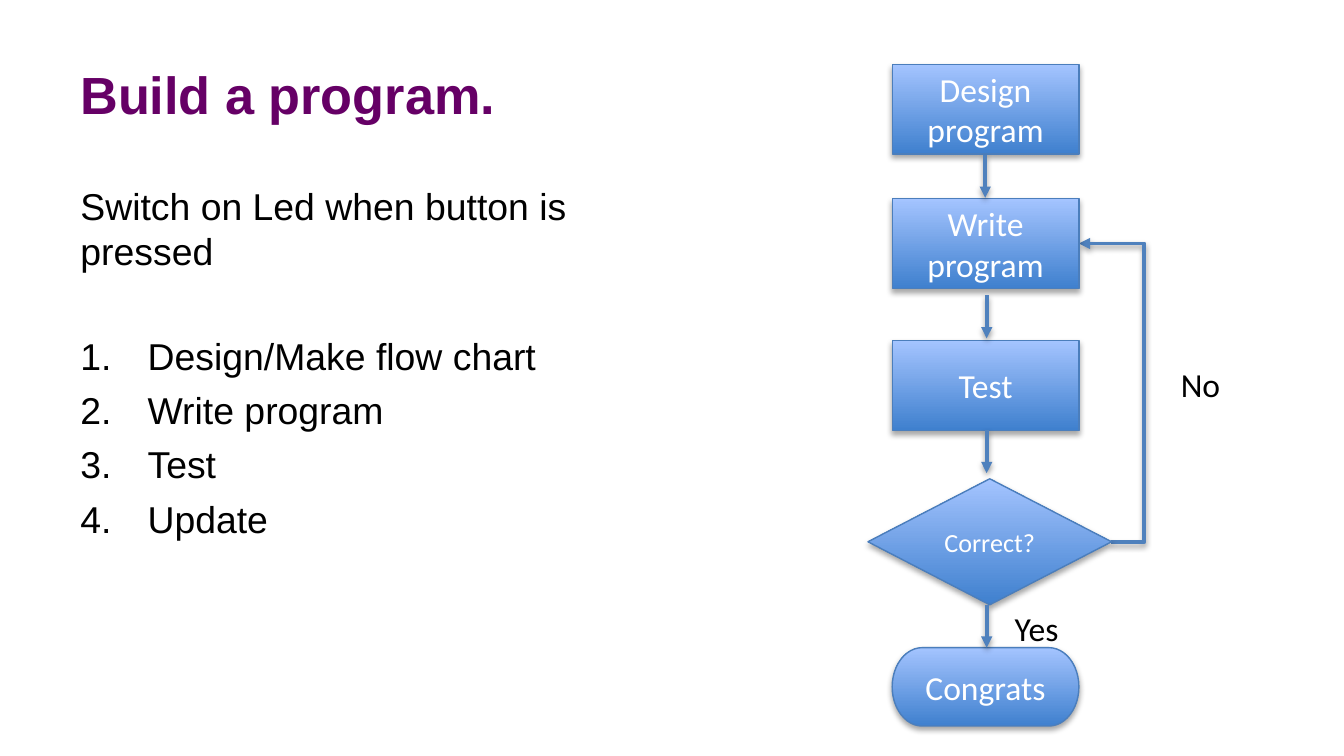
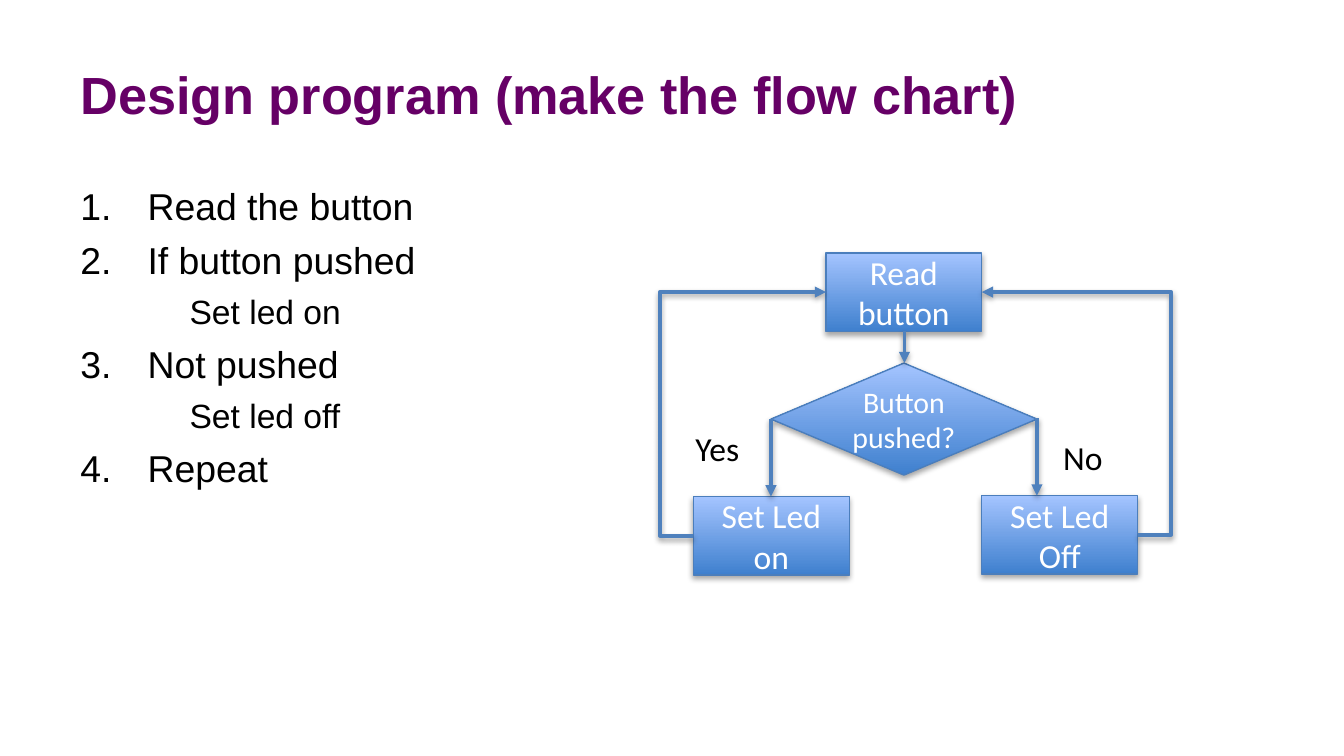
from lxml import etree
from pptx import Presentation
from pptx import util as u
from pptx.dml.color import RGBColor
from pptx.enum import shapes, text
from pptx.oxml import ns

PURPLE = RGBColor(0x66, 0x00, 0x66)
BLACK = RGBColor(0x00, 0x00, 0x00)
WHITE = RGBColor(0xFF, 0xFF, 0xFF)
DEEP_BLUE = RGBColor(0x3F, 0x80, 0xCE)
PALE_BLUE = RGBColor(0xA4, 0xC4, 0xFF)
EDGE_BLUE = RGBColor(0x4B, 0x7E, 0xBC)
ARROW_BLUE = RGBColor(0x4F, 0x81, 0xBD)

TITLE_BOX = (36, 16.5, 648, 67.5)
LIST_BOX = (36, 94.5, 318, 228)
BUILD_ORIGIN = (465, 34.5)
BUTTON_ORIGIN = (353.5, 135.5)
ITEM_GAP = 5
BLOCK_GAP = 32.5

PROCESS = shapes.MSO_SHAPE.FLOWCHART_PROCESS
DECISION = shapes.MSO_SHAPE.FLOWCHART_DECISION
TERMINATOR = shapes.MSO_SHAPE.FLOWCHART_TERMINATOR


def points(*values):
    return [u.Pt(value) for value in values]


def place(origin, x, y, *size):
    return points(origin[0] + x, origin[1] + y, *size)


def child(parent, tag, **attributes):
    element = etree.SubElement(parent, ns.qn(tag))
    for name, value in attributes.items():
        element.set(name, str(value))
    return element


def add_shadow(shape, opacity, distance):
    effects = child(shape._element.spPr, "a:effectLst")
    shadow = child(effects, "a:outerShdw", blurRad=u.Pt(3.1), dist=u.Pt(distance),
                   dir=5400000, rotWithShape=0)
    color = child(shadow, "a:srgbClr", val=BLACK)
    child(color, "a:alpha", val=opacity * 1000)


def write(para, words, size=18, font="Calibri", color=BLACK, bold=False,
          align=None, before=None):
    span = para.add_run()
    span.text = words
    span.font.size = u.Pt(size)
    span.font.name = font
    span.font.color.rgb = color
    span.font.bold = bold
    para.alignment = align
    if before is not None:
        para.space_before = u.Pt(before)


def add_paragraph(frame, first):
    return frame.paragraphs[0] if first else frame.add_paragraph()


def add_text_box(page, area):
    frame = page.shapes.add_textbox(*points(*area)).text_frame
    frame.word_wrap = True
    return frame


def add_title(page, area, words):
    frame = add_text_box(page, area)
    frame.vertical_anchor = text.MSO_ANCHOR.MIDDLE
    write(frame.paragraphs[0], words, size=28, font="Arial", color=PURPLE, bold=True)


def add_list(page, area, entries):
    frame = add_text_box(page, area)
    previous = None
    for kind, words in entries:
        para = add_paragraph(frame, previous is None)
        gap = BLOCK_GAP if previous == "intro" else ITEM_GAP
        write(para, words, size=18 if kind == "sub" else 20, font="Arial", before=gap)
        properties = para._p.get_or_add_pPr()
        if kind == "step":
            properties.set("marL", str(u.Pt(36)))
            properties.set("indent", str(u.Pt(-36)))
            child(properties, "a:buFont", typeface="+mj-lt")
            child(properties, "a:buAutoNum", type="arabicPeriod")
        elif kind == "sub":
            para.level = 1
            properties.set("marL", str(u.Pt(58.5)))
            properties.set("indent", "0")
        previous = kind


def add_node(page, origin, kind, area, *lines, size=18):
    node = page.shapes.add_shape(kind, *place(origin, *area))
    node.fill.gradient()
    node.fill.gradient_angle = 90
    for stop, color in zip(node.fill.gradient_stops, (DEEP_BLUE, PALE_BLUE)):
        stop.color.rgb = color
    node.line.color.rgb = EDGE_BLUE
    node.line.width = u.Pt(0.75)
    add_shadow(node, 35, 1.8)
    frame = node.text_frame
    frame.word_wrap = True
    frame.vertical_anchor = text.MSO_ANCHOR.MIDDLE
    for index, words in enumerate(lines):
        write(add_paragraph(frame, index == 0), words, size=size, color=WHITE,
              align=text.PP_ALIGN.CENTER)


def add_arrow(page, origin, start, end, via=None):
    kind = shapes.MSO_CONNECTOR.STRAIGHT if via is None else shapes.MSO_CONNECTOR.ELBOW
    arrow = page.shapes.add_connector(kind, *place(origin, *start), *place(origin, *end))
    arrow.line.color.rgb = ARROW_BLUE
    arrow.line.width = u.Pt(2)
    properties = arrow._element.spPr
    child(properties.find(ns.qn("a:ln")), "a:tailEnd", type="triangle")
    if via is not None:
        bend = round((via - start[0]) / (end[0] - start[0]) * 100000)
        guides = properties.find(ns.qn("a:prstGeom")).find(ns.qn("a:avLst"))
        child(guides, "a:gd", name="adj1", fmla=f"val {bend}")
    add_shadow(arrow, 38, 1.6)


def add_label(page, origin, x, y, width, words):
    frame = page.shapes.add_textbox(*place(origin, x, y, width, 29)).text_frame
    frame.word_wrap = True
    write(frame.paragraphs[0], words)


def draw_build_flow(page, origin):
    add_arrow(page, origin, (130, 256), (113, 96), via=148)
    for top, lines in ((0, ("Design", "program")), (72, ("Write program",)), (148, ("Test",))):
        add_node(page, origin, PROCESS, (13, top, 100, 48), *lines)
    add_node(page, origin, DECISION, (0, 222, 130.5, 67.5), "Correct?", size=14)
    add_node(page, origin, TERMINATOR, (13, 312.5, 100, 42), "Congrats")
    for x, top in ((62.8, 48.5), (63.6, 123.8), (63.6, 196), (63.6, 289.5)):
        add_arrow(page, origin, (x, top), (x, top + 23))
    add_label(page, origin, 160.5, 157, 52, "No")
    add_label(page, origin, 71.5, 287.5, 52, "Yes")


def draw_button_flow(page, origin):
    width, height = 83.5, 42
    read, led_on, led_off = (89, 0), (18, 130.5), (172.5, 130)
    for corner, words in ((read, "Read button"), (led_on, "Set Led on"), (led_off, "Set Led Off")):
        add_node(page, origin, PROCESS, (*corner, width, height), words)
    add_node(page, origin, DECISION, (59.5, 59, 142.5, 60), "Button pushed?", size=16)
    middle = height / 2
    for x, top, bottom in ((131, height, 59), (59.5, 89, 130.5), (202, 88.5, 130)):
        add_arrow(page, origin, (x, top), (x, bottom))
    add_label(page, origin, 209, 95, 41, "No")
    add_label(page, origin, 12, 90, 41, "Yes")
    add_arrow(page, origin, (led_on[0], led_on[1] + middle), (read[0], middle), via=0)
    add_arrow(page, origin, (led_off[0] + width, led_off[1] + middle),
              (read[0] + width, middle), via=274)


def add_page(deck, title, entries, draw_flow, origin):
    page = deck.slides.add_slide(deck.slide_layouts[6])
    add_title(page, TITLE_BOX, title)
    add_list(page, LIST_BOX, entries)
    draw_flow(page, origin)


def main():
    deck = Presentation()
    deck.slide_width, deck.slide_height = points(720, 405)
    add_page(deck, "Build a program.", [
        ("intro", "Switch on Led when button is pressed"),
        ("step", "Design/Make flow chart"),
        ("step", "Write program"),
        ("step", "Test"),
        ("step", "Update"),
    ], draw_build_flow, BUILD_ORIGIN)
    add_page(deck, "Design program (make the flow chart)", [
        ("step", "Read the button"),
        ("step", "If button pushed"),
        ("sub", "Set led on"),
        ("step", "Not pushed"),
        ("sub", "Set led off"),
        ("step", "Repeat"),
    ], draw_button_flow, BUTTON_ORIGIN)
    deck.save("out.pptx")


if __name__ == "__main__":
    main()
